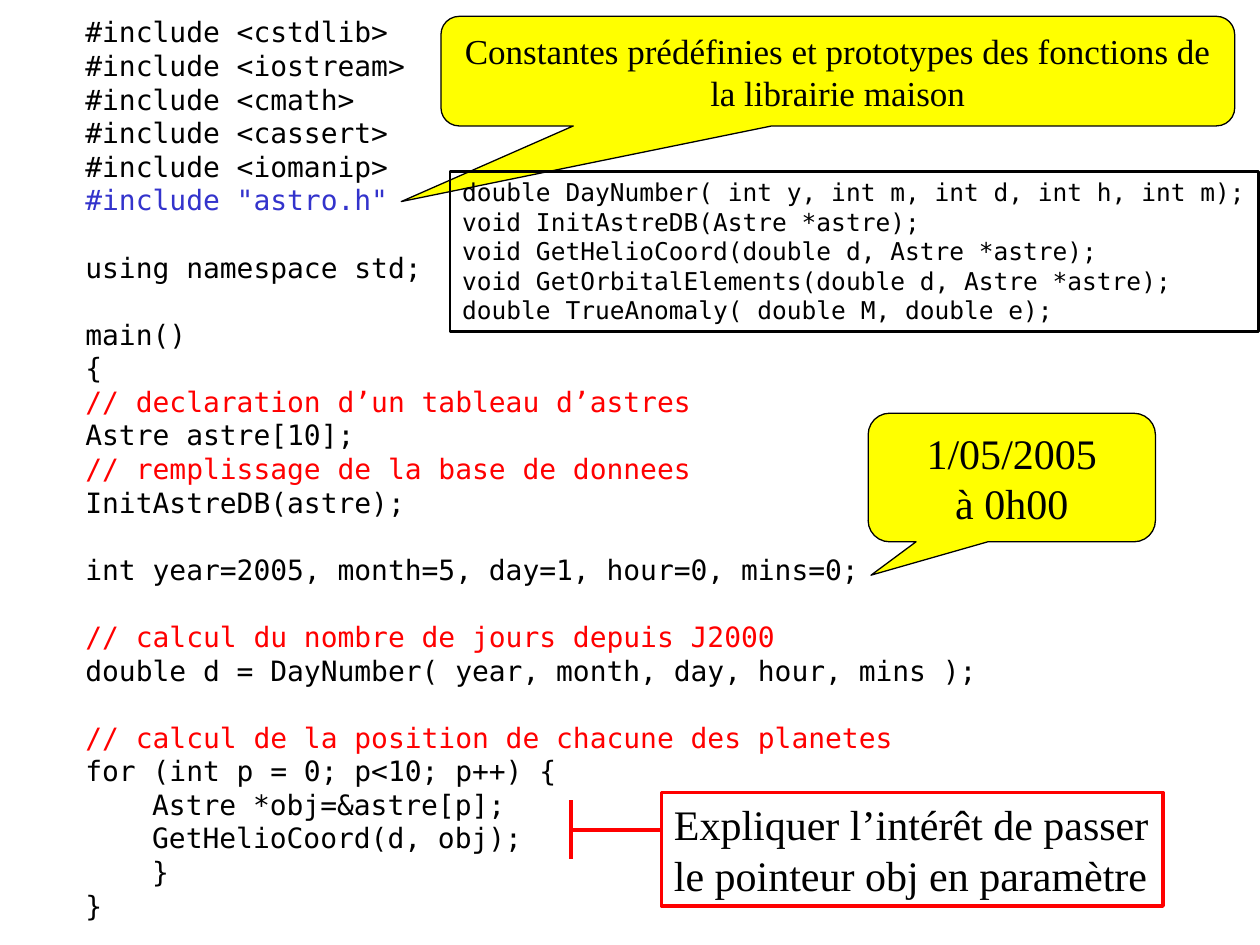
import dataclasses
import typing

import lxml.etree
import pptx
import pptx.dml.color
import pptx.enum.shapes
import pptx.enum.text
import pptx.oxml.ns
import pptx.util

Inches = pptx.util.Inches
Pt = pptx.util.Pt
Shapes = pptx.enum.shapes.MSO_SHAPE
Align = pptx.enum.text.PP_ALIGN
Anchor = pptx.enum.text.MSO_ANCHOR
AutoSize = pptx.enum.text.MSO_AUTO_SIZE

COLORS = {"text": "000000", "comment": "FF0000", "header": "3333CC", "callout": "FFFF00"}
MONO = "DejaVu Sans Mono"
SERIF = "Times New Roman"
CODE_LINE = Pt(19.2)
CODE_INDENT = Inches(0.53)

GROWING = {
    "word_wrap": False,
    "auto_size": AutoSize.SHAPE_TO_FIT_TEXT,
    "vertical_anchor": Anchor.TOP,
}
TIGHT = {**GROWING, "margin_right": Inches(0.02)}
CENTERED = {
    "word_wrap": True,
    "auto_size": AutoSize.NONE,
    "vertical_anchor": Anchor.MIDDLE,
}


@dataclasses.dataclass
class Line:
    text: str
    color: str = "text"
    gap: bool = False
    indent: bool = False


@dataclasses.dataclass
class Box:
    place: tuple[float, float, float, float]
    lines: list[Line]
    font: str
    size: float
    frame: dict[str, typing.Any]
    alignment: typing.Any = Align.LEFT
    fill: str | None = None
    border: str | None = None
    weight: float = 0
    tail: tuple[float, float] | None = None


def color(name: str) -> pptx.dml.color.RGBColor:
    return pptx.dml.color.RGBColor.from_string(COLORS[name])


def apply(target: typing.Any, values: dict[str, typing.Any]) -> None:
    for name, value in values.items():
        setattr(target, name, value)


def write_lines(box: Box, text_frame: typing.Any) -> None:
    apply(text_frame, box.frame)
    for index, line in enumerate(box.lines):
        paragraph = text_frame.paragraphs[0] if index == 0 else text_frame.add_paragraph()
        space = CODE_LINE if line.gap else Pt(0)
        apply(paragraph, {"alignment": box.alignment, "space_before": space})
        if line.indent:
            paragraph._p.get_or_add_pPr().set("marL", str(int(CODE_INDENT)))
        run = paragraph.add_run()
        run.text = line.text
        apply(run.font, {"name": box.font, "size": Pt(box.size)})
        run.font.color.rgb = color(line.color)


def draw_box(shapes: typing.Any, box: Box) -> None:
    place = [Inches(length) for length in box.place]
    if box.border is None:
        shape = shapes.add_textbox(*place)
    else:
        kind = Shapes.ROUNDED_RECTANGULAR_CALLOUT if box.tail else Shapes.RECTANGLE
        shape = shapes.add_shape(kind, *place)
        shape.shadow.inherit = False
        shape.line.color.rgb = color(box.border)
        shape.line.width = Pt(box.weight)
        if box.fill:
            shape.fill.solid()
            shape.fill.fore_color.rgb = color(box.fill)
        else:
            shape.fill.background()
        if box.tail:
            shape.adjustments[0], shape.adjustments[1] = box.tail
    write_lines(box, shape.text_frame)


def draw_line(shapes: typing.Any, start: tuple[float, float], end: tuple[float, float]) -> None:
    ends = [Inches(length) for length in (*start, *end)]
    connector = shapes.add_connector(pptx.enum.shapes.MSO_CONNECTOR.STRAIGHT, *ends)
    connector.line.color.rgb = color("comment")
    connector.line.width = Pt(2.25)
    lxml.etree.SubElement(connector._element.spPr, pptx.oxml.ns.qn("a:effectLst"))


PROGRAM = Box(
    (0.58, 0.07, 7.27, 8.1),
    [
        *[Line(f"#include <{name}>") for name in ("cstdlib", "iostream", "cmath", "cassert", "iomanip")],
        Line('#include "astro.h"', "header"),
        Line("using namespace std;", gap=True),
        Line("main()", gap=True),
        Line("{"),
        Line("// declaration d’un tableau d’astres", "comment"),
        Line("Astre astre[10];"),
        Line("// remplissage de la base de donnees", "comment"),
        Line("InitAstreDB(astre);"),
        Line("int year=2005, month=5, day=1, hour=0, mins=0;", gap=True),
        Line("// calcul du nombre de jours depuis J2000", "comment", gap=True),
        Line("double d = DayNumber( year, month, day, hour, mins );"),
        Line("// calcul de la position de chacune des planetes", "comment", gap=True),
        Line("for (int p = 0; p<10; p++) {"),
        Line("Astre *obj=&astre[p];", indent=True),
        Line("GetHelioCoord(d, obj);", indent=True),
        Line("}", indent=True),
        Line("}"),
    ],
    MONO, 16, GROWING,
)
DATE_CALLOUT = Box(
    (6.89, 3.28, 2.28, 1.02),
    [Line("1/05/2005"), Line("à 0h00")],
    SERIF, 24, CENTERED, Align.CENTER, "callout", "text", 0.75, (-0.49, 0.76),
)
LIBRARY_CALLOUT = Box(
    (3.5, 0.13, 6.3, 0.87),
    [Line("Constantes prédéfinies et prototypes des fonctions de la librairie maison")],
    SERIF, 20, CENTERED, Align.CENTER, "callout", "text", 0.75, (-0.55, 1.19),
)
QUESTION = Box(
    (5.25, 6.29, 3.98, 0.9),
    [Line("Expliquer l’intérêt de passer"), Line("le pointeur obj en paramètre")],
    SERIF, 24, TIGHT, border="comment", weight=2.25,
)
PROTOTYPES = Box(
    (3.57, 1.36, 6.42, 1.27),
    [
        Line("double DayNumber( int y, int m, int d, int h, int m);"),
        Line("void InitAstreDB(Astre *astre);"),
        Line("void GetHelioCoord(double d, Astre *astre);"),
        Line("void GetOrbitalElements(double d, Astre *astre);"),
        Line("double TrueAnomaly( double M, double e);"),
    ],
    MONO, 14, GROWING, border="text", weight=1.5,
)

presentation = pptx.Presentation()
apply(presentation, {"slide_width": Inches(10), "slide_height": Inches(7.5)})
slide = presentation.slides.add_slide(presentation.slide_layouts[6])

for box in (PROGRAM, DATE_CALLOUT, LIBRARY_CALLOUT):
    draw_box(slide.shapes, box)

question_group = slide.shapes.add_group_shape()
draw_line(question_group.shapes, (4.53, 6.35), (4.53, 6.82))
draw_box(question_group.shapes, QUESTION)
draw_line(question_group.shapes, (4.53, 6.59), (5.24, 6.59))

draw_box(slide.shapes, PROTOTYPES)
presentation.save("out.pptx")
